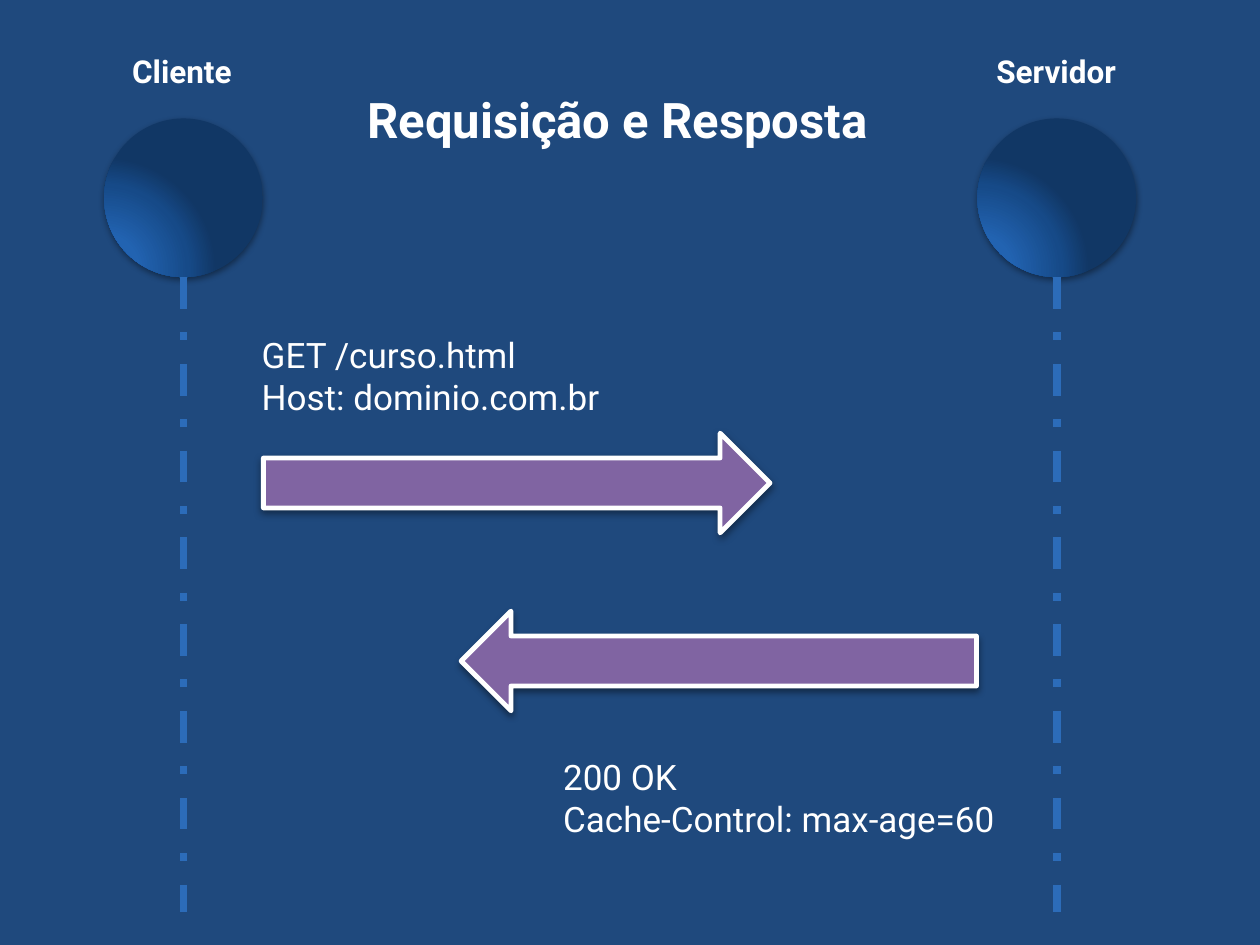
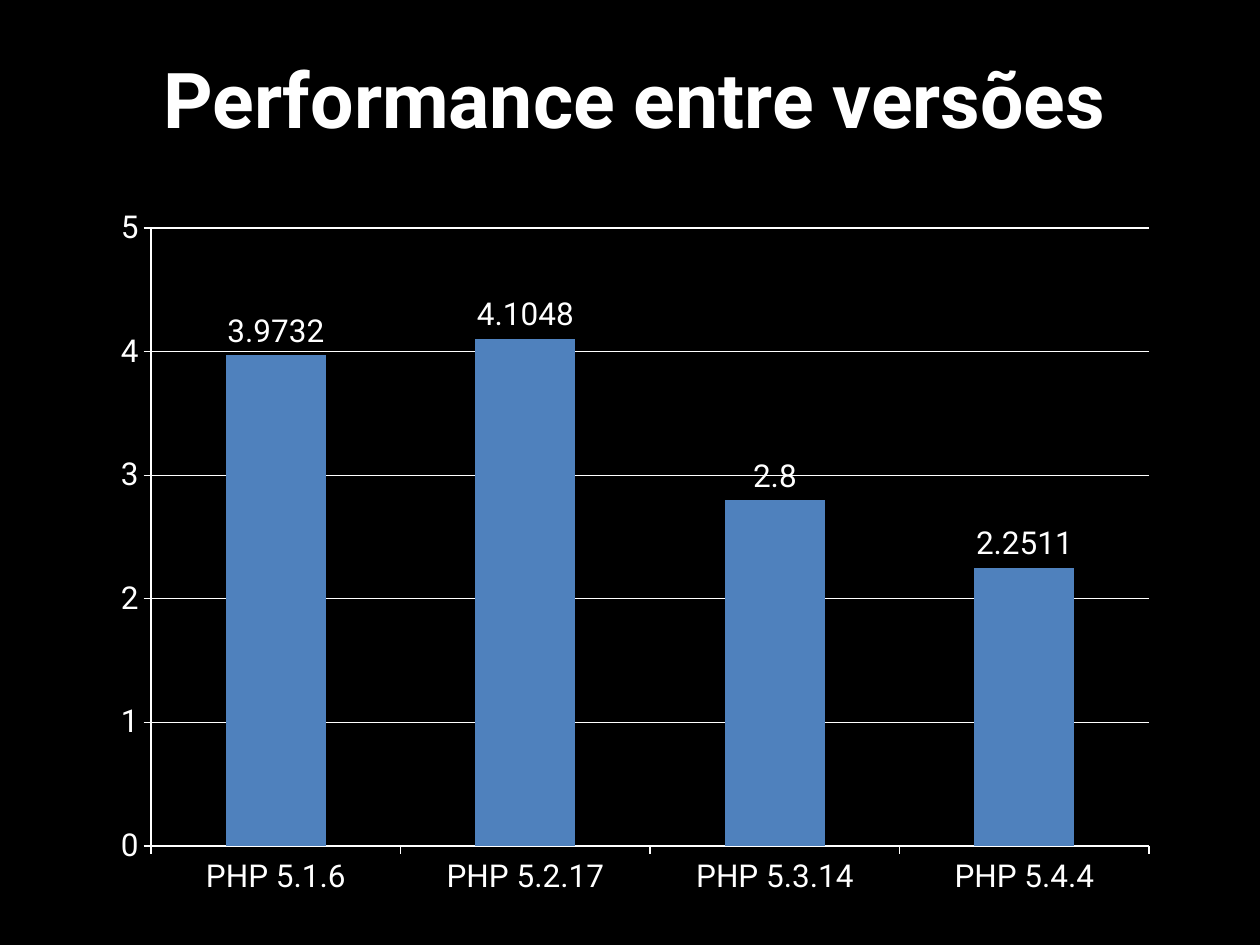
import pptx
import pptx.chart.data
import pptx.dml.color
import pptx.enum.chart
import pptx.enum.dml
import pptx.enum.shapes
import pptx.enum.text
import pptx.oxml
import pptx.oxml.ns
import pptx.util
from lxml import etree

Pt = pptx.util.Pt
SHAPES = pptx.enum.shapes.MSO_SHAPE
FONT = "Roboto"
WHITE = "FFFFFF"
BLACK = "000000"
NAVY = "1F497D"
LIFELINE_BLUE = "2C6CB9"
ARROW_PURPLE = "8064A2"
BAR_BLUE = "4F81BD"
SPHERE_STOPS = [(0, "2367B8"), (30, "2263B1"), (75, "164A88"), (100, "113765")]
SPHERE_SIZE = 90.7
SPHERE_TOP = 67.7
LIFELINE_END = 521.3


def color(hex_value):
    """Turn a hex string into a colour."""
    return pptx.dml.color.RGBColor.from_string(hex_value)


def style_font(font, size, bold=False):
    """Apply the shared typeface and white colour."""
    font.name = FONT
    font.size = Pt(size)
    font.bold = bold
    font.color.rgb = color(WHITE)


def style_line(line, hex_value, width):
    """Give a line its colour and width."""
    line.color.rgb = color(hex_value)
    line.width = Pt(width)


def fill_text(frame, text, size, bold=False, align=pptx.enum.text.PP_ALIGN.LEFT, wrap=True):
    """Write text in a frame, one paragraph per line."""
    frame.text = text
    frame.word_wrap = wrap
    frame.auto_size = pptx.enum.text.MSO_AUTO_SIZE.SHAPE_TO_FIT_TEXT
    frame.vertical_anchor = pptx.enum.text.MSO_ANCHOR.TOP
    for para in frame.paragraphs:
        para.alignment = align
        para.space_before = Pt(0)
        for span in para.runs:
            style_font(span.font, size, bold)


def add_label(page, text, left, top, width, height, size, bold=False, wrap=True):
    """Add a text box."""
    box = page.shapes.add_textbox(Pt(left), Pt(top), Pt(width), Pt(height))
    fill_text(box.text_frame, text, size, bold, wrap=wrap)


def add_page(deck, background, title, left, top, width, height, size):
    """Add a title-only slide with its background and title."""
    page = deck.slides.add_slide(deck.slide_layouts[5])
    page.background.fill.solid()
    page.background.fill.fore_color.rgb = color(background)
    box = page.shapes.title
    box.left, box.top, box.width, box.height = Pt(left), Pt(top), Pt(width), Pt(height)
    fill_text(box.text_frame, title, size, True, pptx.enum.text.PP_ALIGN.CENTER)
    return page


def add_shadow(shape, distance, opacity):
    """Drop a soft black shadow straight below a shape."""
    shape.shadow.inherit = False
    effects = shape.element.spPr.find(pptx.oxml.ns.qn("a:effectLst"))
    effects.append(pptx.oxml.parse_xml(
        f'<a:outerShdw {pptx.oxml.ns.nsdecls("a")} blurRad="{Pt(4)}" dist="{Pt(distance)}" '
        f'dir="5400000" rotWithShape="0"><a:srgbClr val="{BLACK}">'
        f'<a:alpha val="{opacity * 1000}"/></a:srgbClr></a:outerShdw>'))


def fill_sphere(shape):
    """Fill a shape with a radial gradient lit from the bottom left."""
    shape.fill.solid()
    stops = "".join(f'<a:gs pos="{position * 1000}"><a:srgbClr val="{value}"/></a:gs>'
                    for position, value in SPHERE_STOPS)
    gradient = pptx.oxml.parse_xml(
        f'<a:gradFill {pptx.oxml.ns.nsdecls("a")} rotWithShape="1"><a:gsLst>{stops}</a:gsLst>'
        '<a:path path="circle"><a:fillToRect l="5000" t="100000" r="120000" b="10000"/>'
        '</a:path></a:gradFill>')
    properties = shape.element.spPr
    properties.replace(properties.find(pptx.oxml.ns.qn("a:solidFill")), gradient)


def add_participant(page, left):
    """Add a sphere with the dashed lifeline below it."""
    sphere = page.shapes.add_shape(SHAPES.OVAL, Pt(left), Pt(SPHERE_TOP),
                                   Pt(SPHERE_SIZE), Pt(SPHERE_SIZE))
    fill_sphere(sphere)
    sphere.line.fill.background()
    add_shadow(sphere, 1.6, 42)
    middle = Pt(left + SPHERE_SIZE / 2)
    lifeline = page.shapes.add_connector(pptx.enum.shapes.MSO_CONNECTOR.STRAIGHT, middle,
                                         Pt(SPHERE_TOP + SPHERE_SIZE), middle, Pt(LIFELINE_END))
    style_line(lifeline.line, LIFELINE_BLUE, 4.5)
    lifeline.line.dash_style = pptx.enum.dml.MSO_LINE.DASH_DOT
    etree.SubElement(lifeline.element.spPr, pptx.oxml.ns.qn("a:effectLst"))


def add_message(page, left, top, width, rotation=0):
    """Add a block arrow between the participants."""
    arrow = page.shapes.add_shape(SHAPES.RIGHT_ARROW, Pt(left), Pt(top), Pt(width), Pt(57))
    arrow.rotation = rotation
    arrow.fill.solid()
    arrow.fill.fore_color.rgb = color(ARROW_PURPLE)
    style_line(arrow.line, WHITE, 2.75)
    add_shadow(arrow, 2, 40)


def add_column_chart(page, categories, values, left, top, width, height):
    """Add a column chart with a value above each bar."""
    data = pptx.chart.data.CategoryChartData()
    data.categories = categories
    data.add_series("Series 1", values)
    chart = page.shapes.add_chart(pptx.enum.chart.XL_CHART_TYPE.COLUMN_CLUSTERED,
                                  Pt(left), Pt(top), Pt(width), Pt(height), data).chart
    style_font(chart.font, 18)
    chart.has_legend = False
    chart.has_title = False
    plot = chart.plots[0]
    plot.gap_width = 150
    plot.vary_by_categories = False
    bars = plot.series[0].format.fill
    bars.solid()
    bars.fore_color.rgb = color(BAR_BLUE)
    plot.has_data_labels = True
    plot.data_labels.show_value = True
    plot.data_labels.position = pptx.enum.chart.XL_LABEL_POSITION.OUTSIDE_END
    for axis in (chart.category_axis, chart.value_axis):
        axis.major_tick_mark = pptx.enum.chart.XL_TICK_MARK.OUTSIDE
        style_line(axis.format.line, WHITE, 0.75)
    scale = chart.value_axis
    scale.minimum_scale, scale.maximum_scale, scale.major_unit = 0, 5, 1
    scale.has_major_gridlines = True
    style_line(scale.major_gridlines.format.line, WHITE, 0.75)


def build_request_response(deck):
    """Build the client and server exchange."""
    page = add_page(deck, NAVY, "Requisição e Resposta", 162.7, 47.5, 380.2, 41, 28)
    add_participant(page, 59.5)
    add_participant(page, 558.5)
    add_message(page, 150.5, 247.5, 289.5)
    add_label(page, "GET /curso.html\nHost: dominio.com.br", 142.5, 187.2, 270.7, 55.4, 20)
    add_message(page, 263.5, 349.2, 294.5, 180)
    add_label(page, "200 OK\nCache-Control: max-age=60", 314.7, 428.4, 289.5, 55.4, 20)
    add_label(page, "Cliente", 68.4, 26, 75, 29, 18, True, False)
    add_label(page, "Servidor", 562.3, 26, 88.6, 29, 18, True, False)


def build_performance(deck):
    """Build the comparison of language versions."""
    page = add_page(deck, BLACK, "Performance entre versões", 36.7, 26, 652.3, 60.5, 44)
    add_column_chart(page, ["PHP 5.1.6", "PHP 5.2.17", "PHP 5.3.14", "PHP 5.4.4"],
                     [3.9732, 4.1048, 2.8, 2.2511], 56.9, 111.6, 612, 408.2)


def main():
    """Build and save the deck."""
    deck = pptx.Presentation()
    deck.slide_width, deck.slide_height = Pt(720), Pt(540)
    build_request_response(deck)
    build_performance(deck)
    deck.save("out.pptx")


if __name__ == "__main__":
    main()
